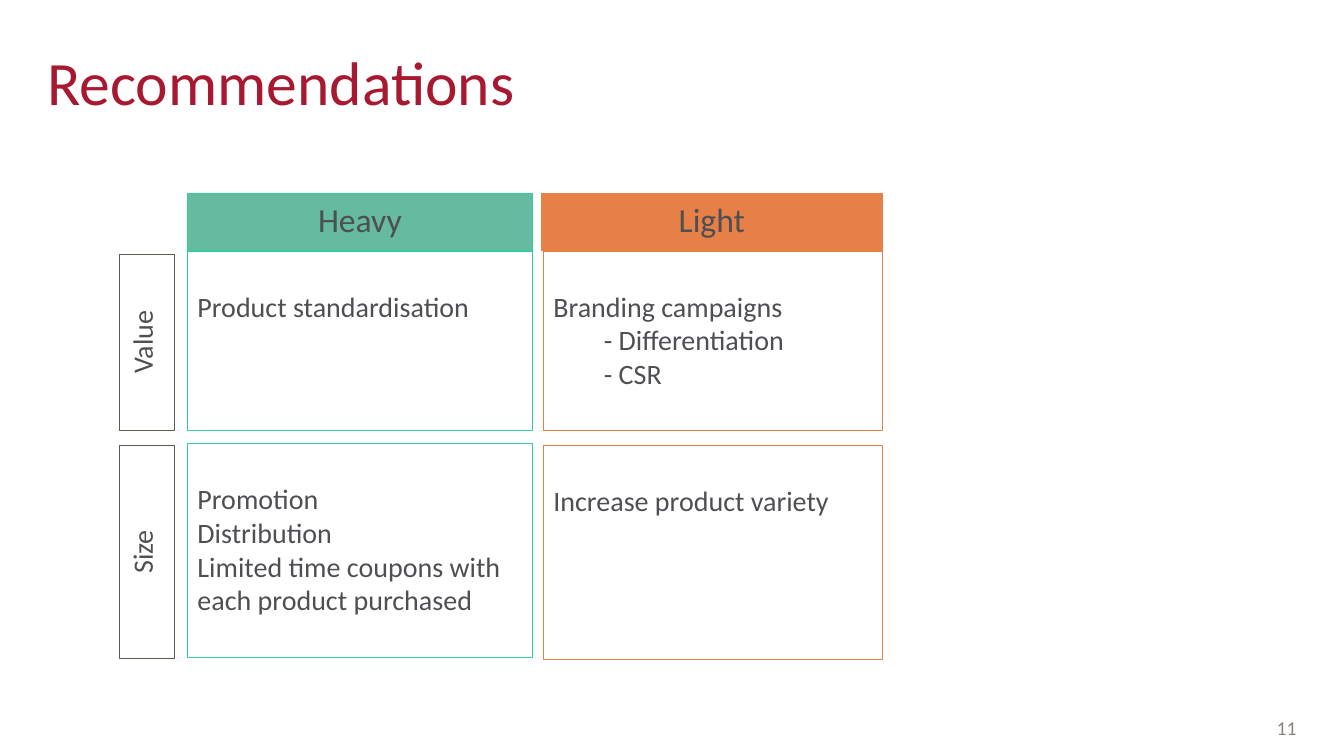
import pptx
import pptx.util
import pptx.dml.color
import pptx.enum.text
import pptx.enum.shapes
import pptx.oxml
import pptx.oxml.ns
from dataclasses import dataclass

ALIGN = pptx.enum.text.PP_ALIGN
ANCHOR = pptx.enum.text.MSO_ANCHOR
Inches, Pt = pptx.util.Inches, pptx.util.Pt


@dataclass(frozen=True)
class Theme:
    font: str = "Calibri"
    title: str = "A71930"
    text: str = "4D4F53"
    number: str = "8D817B"
    label_line: str = "605950"
    title_size: int = 44
    head_size: int = 24
    body_size: int = 20
    number_size: int = 14
    line_width: float = 0.75


THEME = Theme()

# Content: columns with one cell per row; a leading "- " marks a sub-item
TITLE = "Recommendations"
PAGE = "11"
ROWS = ["Value", "Size"]
COLUMNS = [
    dict(head="Heavy", fill="269D78", opacity=70, line="32CE9E", cells=[
        ["Product standardisation"],
        ["Promotion", "Distribution",
         "Limited time coupons with each product purchased"]]),
    dict(head="Light", fill="E78047", opacity=100, line="E78047", cells=[
        ["Branding campaigns", "- Differentiation", "- CSR"],
        ["Increase product variety"]]),
]

# Grid, in inches: (start, extent)
HEAD_Y = (1.92, 0.57)
LABEL_X = (1.19, 0.54)
LABEL_Y = [(2.52, 1.75), (4.42, 2.11)]
HEAD_X = [(1.86, 3.42), (5.37, 3.38)]
CELL_X = [(1.86, 3.42), (5.39, 3.36)]
CELL_Y = [[(2.49, 1.78), (4.40, 2.12)], [(2.49, 1.78), (4.42, 2.12)]]
CELL_INSET = 0.38
SUB_INDENT = 0.5


def rgb(value):
    return pptx.dml.color.RGBColor.from_string(value)


def write(tf, lines, size, color, align):
    for i, line in enumerate(lines):
        p = tf.paragraphs[0] if i == 0 else tf.add_paragraph()
        p.text = line
        p.alignment = align
        p.font.name, p.font.size = THEME.font, Pt(size)
        p.font.color.rgb = rgb(color)
        if line.startswith("- "):
            p._p.get_or_add_pPr().set("marL", str(Inches(SUB_INDENT)))


def clear_insets(tf):
    tf.margin_left = tf.margin_right = tf.margin_top = tf.margin_bottom = 0
    tf.vertical_anchor = ANCHOR.BOTTOM
    tf.word_wrap = True


def add_box(x, y, lines, line, size=THEME.body_size, align=ALIGN.CENTER,
            fill=None, opacity=100):
    sp = slide.shapes.add_shape(
        pptx.enum.shapes.MSO_SHAPE.RECTANGLE,
        Inches(x[0]), Inches(y[0]), Inches(x[1]), Inches(y[1]))
    sp.shadow.inherit = False
    sp.line.color.rgb, sp.line.width = rgb(line), Pt(THEME.line_width)
    if fill:
        sp.fill.solid()
        sp.fill.fore_color.rgb = rgb(fill)
        if opacity < 100:
            clr = sp._element.spPr.find(".//" + pptx.oxml.ns.qn("a:srgbClr"))
            alpha = pptx.oxml.parse_xml(
                f'<a:alpha {pptx.oxml.ns.nsdecls("a")} val="{opacity * 1000}"/>')
            clr.append(alpha)
    else:
        sp.fill.background()
    tf = sp.text_frame
    tf.word_wrap, tf.vertical_anchor = True, ANCHOR.TOP
    write(tf, lines, size, THEME.text, align)
    return sp


prs = pptx.Presentation()
prs.slide_width, prs.slide_height = Inches(13.33), Inches(7.5)
slide = prs.slides.add_slide(prs.slide_layouts[5])

# Title
title = slide.shapes.title
title.left, title.top = Inches(0.47), Inches(0.21)
title.width, title.height = Inches(12.39), Inches(0.96)
clear_insets(title.text_frame)
title.text_frame.auto_size = pptx.enum.text.MSO_AUTO_SIZE.NONE
write(title.text_frame, [TITLE], THEME.title_size, THEME.title, ALIGN.LEFT)

# Column heads and cells
for col, head_x, cell_x, cell_ys in zip(COLUMNS, HEAD_X, CELL_X, CELL_Y):
    add_box(head_x, HEAD_Y, [col["head"]], col["line"], THEME.head_size,
            fill=col["fill"], opacity=col["opacity"])
    for lines, cell_y in zip(col["cells"], cell_ys):
        sp = add_box(cell_x, cell_y, lines, col["line"], align=ALIGN.LEFT)
        sp.text_frame.margin_top = Inches(CELL_INSET)

# Row labels, reading upwards
for label, label_y in zip(ROWS, LABEL_Y):
    sp = add_box(LABEL_X, label_y, [label], THEME.label_line)
    sp.text_frame._txBody.bodyPr.set("vert", "vert270")

# Page number
number = slide.shapes.add_textbox(
    Inches(12.35), Inches(7.11), Inches(0.51), Inches(0.23))
clear_insets(number.text_frame)
write(number.text_frame, [PAGE], THEME.number_size, THEME.number, ALIGN.RIGHT)

prs.save("out.pptx")
